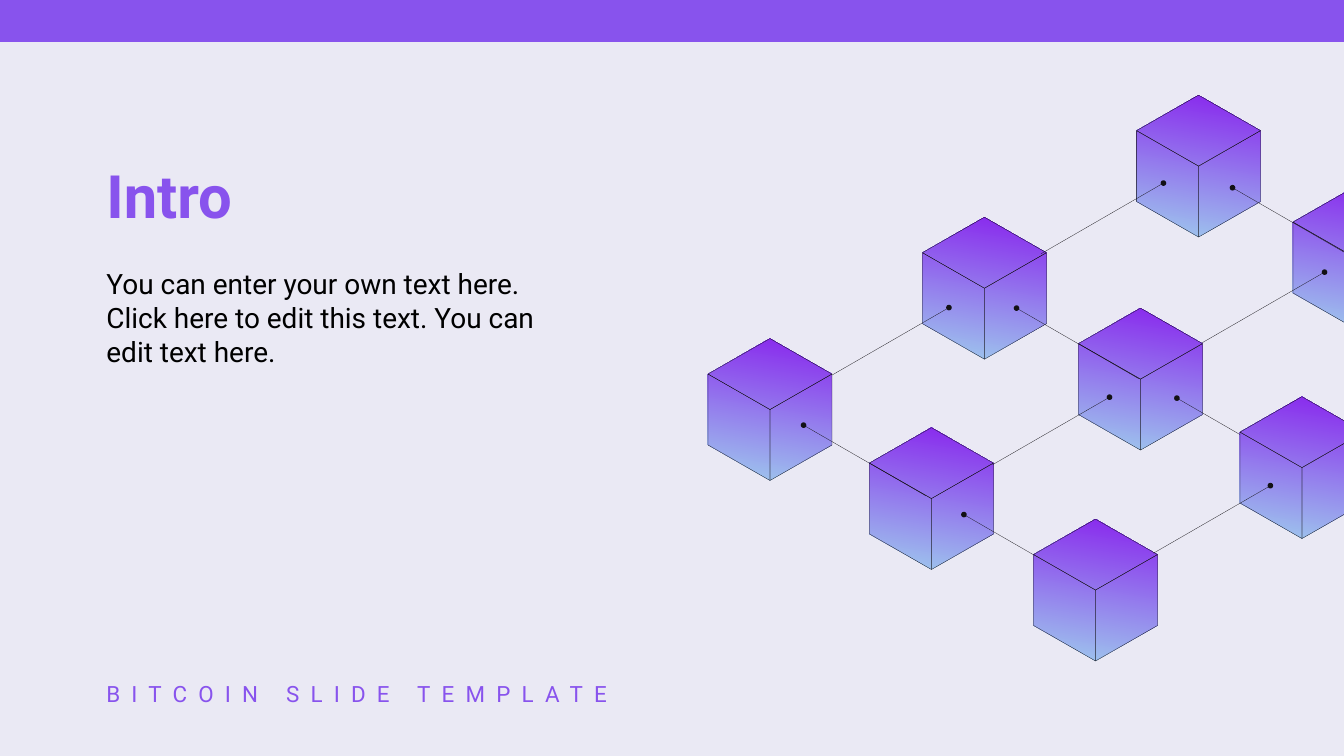
from math import sqrt

from pptx import Presentation
from pptx.dml.color import RGBColor
from pptx.enum.shapes import MSO_CONNECTOR, MSO_SHAPE
from pptx.enum.text import MSO_ANCHOR
from pptx.oxml.ns import qn
from pptx.util import Pt

VIOLET = RGBColor(0x88, 0x53, 0xED)
PALE = RGBColor(0xEA, 0xE9, 0xF4)
BLACK = RGBColor(0, 0, 0)
INK = RGBColor(0x13, 0x11, 0x15)
CUBE_TOP = RGBColor(0x88, 0x23, 0xED)
CUBE_BASE = RGBColor(0x9E, 0xCA, 0xED)

FONT = "Roboto"
PAGE_WIDTH, PAGE_HEIGHT = 720, 405
HAIRLINE = Pt(0.13)
HALF_WIDTH, SLOPE, SIDE = 33.2, 19, 38
DOT = 3

CUBE_APEXES = [
    (33.2, 130.4), (148.1, 65.4), (262.8, 0), (119.7, 178.1),
    (231.7, 114.1), (318.2, 161.5), (207.6, 227.1), (346.6, 49),
]
LINKS = [
    (51.2, 176.8, 65.6), (129.1, 113.8, -62.6), (244, 47.1, -65.6),
    (281, 49.6, 65.6), (165.3, 114.1, 65.6), (215.1, 161.8, -62.6),
    (251.2, 162.3, 33.7), (330.3, 94.8, -65.6), (137.1, 224.7, 37.4),
    (301.3, 209.2, -62.6),
]


def add_outline(shapes, points):
    corners = [(Pt(x), Pt(y)) for x, y in points]
    builder = shapes.build_freeform(*corners[0])
    builder.add_line_segments(corners[1:], close=True)
    shape = builder.convert_to_shape()
    shape.shadow.inherit = False
    return shape


def add_cube(shapes, x, y):
    left, right = x - HALF_WIDTH, x + HALF_WIDTH
    apex, center, base = (x, y), (x, y + 2 * SLOPE), (x, y + 2 * SLOPE + SIDE)
    upper_left, upper_right = (left, y + SLOPE), (right, y + SLOPE)
    lower_left, lower_right = (left, y + SLOPE + SIDE), (right, y + SLOPE + SIDE)

    body = add_outline(
        shapes, [apex, upper_left, lower_left, base, lower_right, upper_right])
    body.fill.gradient()
    body.fill.gradient_angle = 80
    for stop, color in zip(body.fill.gradient_stops, (CUBE_BASE, CUBE_TOP)):
        stop.color.rgb = color
    body.line.fill.background()

    faces = [
        [base, lower_left, upper_left, center],
        [base, lower_right, upper_right, center],
        [upper_right, center, upper_left, apex],
    ]
    for face in faces:
        if min(corner[0] for corner in face) < PAGE_WIDTH:
            edges = add_outline(shapes, face)
            edges.fill.background()
            edges.line.color.rgb = INK
            edges.line.width = HAIRLINE


def add_link(shapes, x, y, run):
    link = shapes.add_connector(
        MSO_CONNECTOR.STRAIGHT, Pt(x), Pt(y),
        Pt(x + run), Pt(y + abs(run) / sqrt(3)))
    link.line.color.rgb = INK
    link.line.width = HAIRLINE
    properties = link._element.spPr
    properties.append(properties.makeelement(qn("a:effectLst"), {}))

    dot = shapes.add_shape(
        MSO_SHAPE.OVAL, Pt(x - DOT / 2), Pt(y - DOT / 2), Pt(DOT), Pt(DOT))
    dot.shadow.inherit = False
    dot.fill.solid()
    dot.fill.fore_color.rgb = INK
    dot.line.fill.background()


def add_block_chain(page, left, top):
    shapes = page.shapes.add_group_shape().shapes
    for x, y in CUBE_APEXES:
        add_cube(shapes, left + x, top + y)
    for x, y, run in LINKS:
        add_link(shapes, left + x, top + y, run)


def add_bar(page, left, top, width, height):
    bar = page.shapes.add_shape(
        MSO_SHAPE.RECTANGLE, Pt(left), Pt(top), Pt(width), Pt(height))
    bar.shadow.inherit = False
    bar.fill.solid()
    bar.fill.fore_color.rgb = VIOLET
    bar.line.fill.background()


def add_text(page, left, top, width, height, text, size, color,
             bold=False, anchor=MSO_ANCHOR.TOP, tracking=0):
    box = page.shapes.add_textbox(Pt(left), Pt(top), Pt(width), Pt(height))
    frame = box.text_frame
    frame.word_wrap = True
    frame.vertical_anchor = anchor
    frame.margin_left = frame.margin_right = 0
    frame.margin_top = frame.margin_bottom = 0
    para = frame.paragraphs[0]
    span = para.add_run()
    span.text = text
    para.font.name = FONT
    para.font.size = Pt(size)
    para.font.bold = bold
    para.font.color.rgb = color
    if tracking:
        span.font._element.set("spc", str(tracking * 100))


def add_copy(page, left, top):
    add_text(page, left, top, 350, 83, "Intro", 32, VIOLET,
             bold=True, anchor=MSO_ANCHOR.BOTTOM)
    add_text(page, left, top + 102.5, 240, 186,
             "You can enter your own text here. Click here to edit this text. "
             "You can edit text here.", 15, BLACK)
    add_text(page, left, top + 324, 568, 19,
             "BITCOIN SLIDE TEMPLATE", 12, VIOLET, tracking=6)


def main():
    deck = Presentation()
    deck.slide_width, deck.slide_height = Pt(PAGE_WIDTH), Pt(PAGE_HEIGHT)
    page = deck.slides.add_slide(deck.slide_layouts[6])
    page.background.fill.solid()
    page.background.fill.fore_color.rgb = PALE
    add_bar(page, 0, 0, PAGE_WIDTH, 22.5)
    add_copy(page, 57, 40.5)
    add_block_chain(page, 379.3, 51)
    deck.save("out.pptx")


if __name__ == "__main__":
    main()
